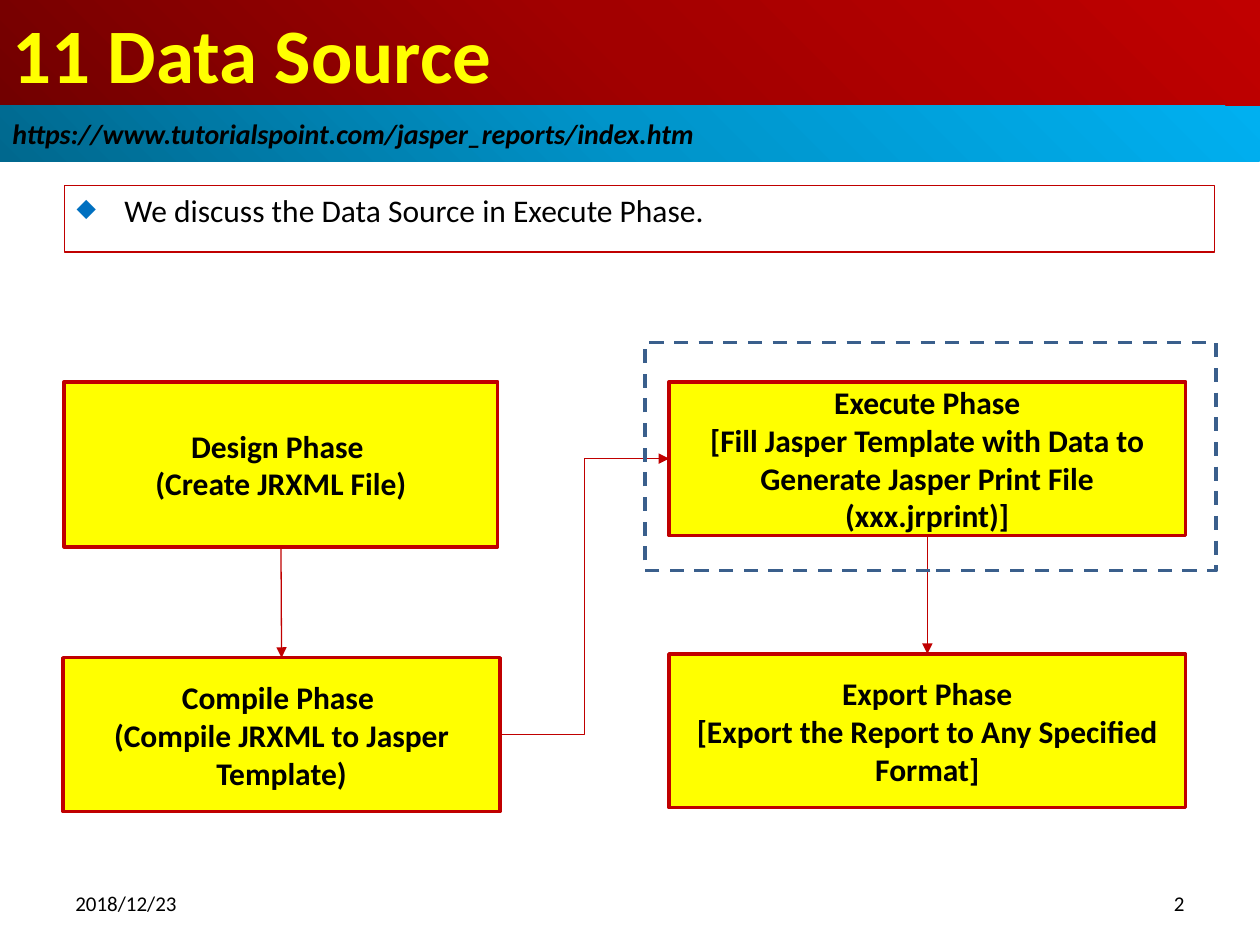
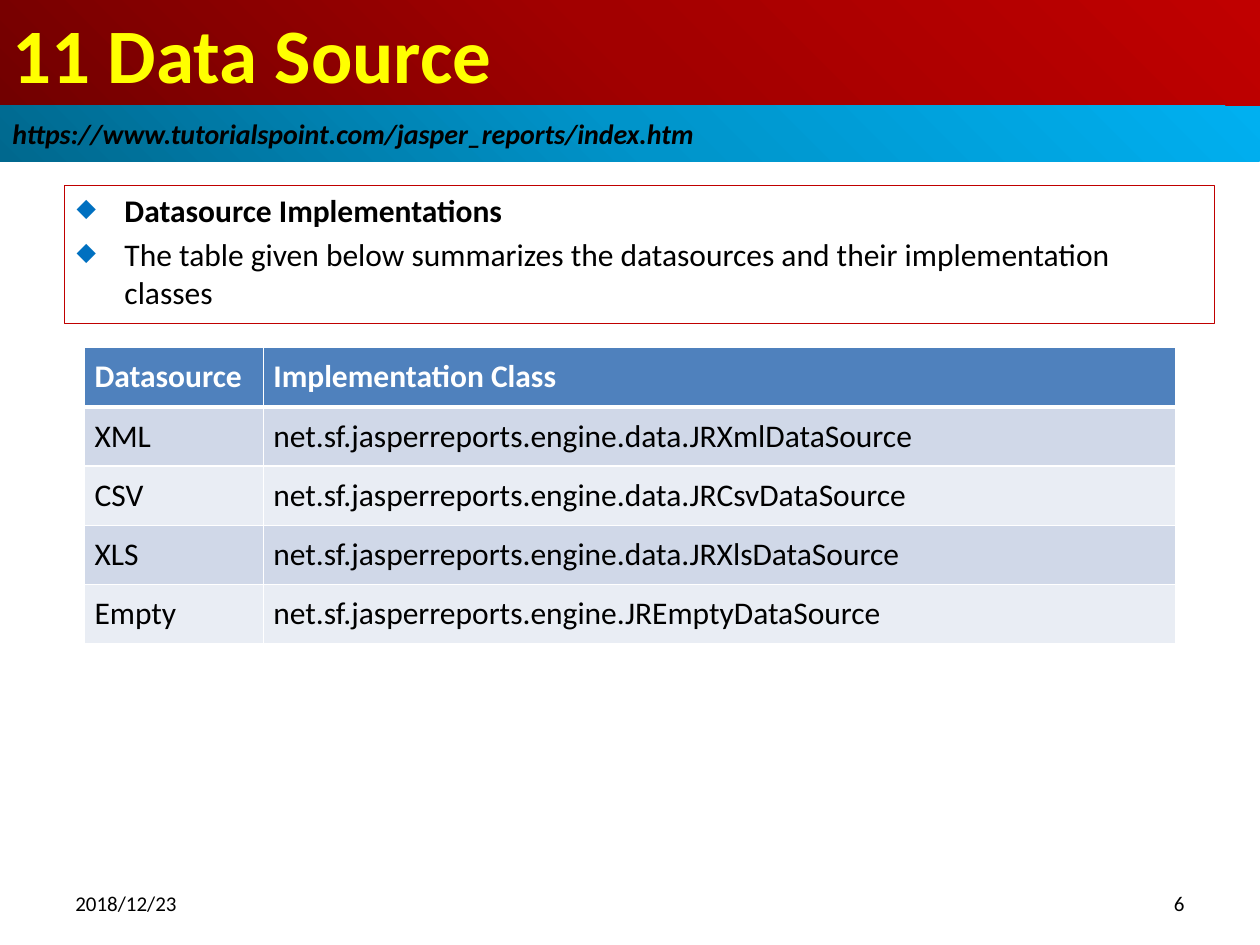
from lxml.etree import SubElement
from pptx import Presentation
from pptx.dml.color import RGBColor
from pptx.enum.dml import MSO_LINE
from pptx.enum.shapes import MSO_CONNECTOR, MSO_SHAPE
from pptx.enum.text import MSO_ANCHOR, PP_ALIGN
from pptx.oxml import parse_xml
from pptx.oxml.ns import nsdecls, qn
from pptx.util import Inches, Pt

FONT = "Calibri"
BLACK = RGBColor(0x00, 0x00, 0x00)
WHITE = RGBColor(0xFF, 0xFF, 0xFF)
YELLOW = RGBColor(0xFF, 0xFF, 0x00)
RED = RGBColor(0xC0, 0x00, 0x00)
BULLET_BLUE = RGBColor(0x00, 0x70, 0xC0)
FRAME_BLUE = RGBColor(0x3A, 0x5F, 0x8C)
HEADER_BLUE = RGBColor(0x4F, 0x81, 0xBD)
ROW_DARK = RGBColor(0xD0, 0xD8, 0xE8)
ROW_LIGHT = RGBColor(0xE9, 0xED, 0xF4)
RED_GRADIENT = (RGBColor(0x72, 0x00, 0x00), RGBColor(0xA2, 0x00, 0x00), RED)
BLUE_GRADIENT = (RGBColor(0x00, 0x68, 0x8E), RGBColor(0x00, 0x94, 0xCA),
                 RGBColor(0x00, 0xB0, 0xF0))

TITLE = "11 Data Source"
ADDRESS = "https://www.tutorialspoint.com/jasper_reports/index.htm"
DATE = "2018/12/23"
SLIDES = [
    # page number, body height, body lines as (text, bold)
    ("2", 0.53, [("We discuss the Data Source in Execute Phase.", False)]),
    ("6", 1.10, [("Datasource Implementations", True),
                 ("The table given below summarizes the datasources and their "
                  "implementation classes", False)]),
]


def add_box(slide, position, lines=(), size=18, color=BLACK, bold=False,
            align=PP_ALIGN.LEFT, fill=None, line=None, line_width=2):
    """Add a rectangle with one paragraph per line, centred vertically."""
    shape = slide.shapes.add_shape(MSO_SHAPE.RECTANGLE, *map(Inches, position))
    shape.shadow.inherit = False
    shape.fill.background()
    if fill:
        shape.fill.solid()
        shape.fill.fore_color.rgb = fill
    shape.line.fill.background()
    if line:
        shape.line.color.rgb = line
        shape.line.width = Pt(line_width)
    frame = shape.text_frame
    frame.word_wrap = True
    frame.vertical_anchor = MSO_ANCHOR.MIDDLE
    frame.text = "\n".join(lines)
    for paragraph in frame.paragraphs:
        paragraph.alignment = align
        paragraph.font.name = FONT
        paragraph.font.size = Pt(size)
        paragraph.font.bold = bold
        paragraph.font.color.rgb = color
    return shape


def set_gradient(shape, colors):
    """Fill the shape with colours spreading from its bottom left corner."""
    stops = "".join(f'<a:gs pos="{place}"><a:srgbClr val="{color}"/></a:gs>'
                    for place, color in zip((0, 50000, 100000), colors))
    gradient = parse_xml(
        f'<a:gradFill {nsdecls("a")} rotWithShape="1"><a:gsLst>{stops}</a:gsLst>'
        '<a:path path="circle"><a:fillToRect t="100000" r="100000"/></a:path>'
        '</a:gradFill>')
    properties = shape.element.spPr
    properties.replace(properties.find(qn("a:noFill")), gradient)


presentation = Presentation()
presentation.slide_width = Inches(10)
presentation.slide_height = Inches(7.5)

# Title, address band, body text and footer of every slide
for number, body_height, body_lines in SLIDES:
    slide = presentation.slides.add_slide(presentation.slide_layouts[6])
    title = add_box(slide, (0, 0, 10, 0.84), [TITLE], 44, YELLOW, bold=True)
    set_gradient(title, RED_GRADIENT)

    body = add_box(slide, (0.51, 1.47, 9.13, body_height),
                   [text for text, bold in body_lines], line=RED, line_width=0.75)
    body.text_frame.vertical_anchor = MSO_ANCHOR.TOP
    for index, paragraph in enumerate(body.text_frame.paragraphs):
        paragraph.font.bold = body_lines[index][1]
        if index:
            paragraph.space_before = Pt(3.6)
        properties = paragraph._p.get_or_add_pPr()
        properties.set("marL", str(Inches(0.38)))
        properties.set("indent", str(-Inches(0.38)))
        bullet = parse_xml(
            f'<a:pPr {nsdecls("a")}><a:buClr><a:srgbClr val="{BULLET_BLUE}"/></a:buClr>'
            '<a:buSzPct val="80000"/><a:buChar char="◆"/></a:pPr>')
        for element in list(bullet):
            properties.find(qn("a:defRPr")).addprevious(element)

    address = add_box(slide, (0, 0.84, 10, 0.44), [ADDRESS], 16, bold=True)
    address.text_frame.paragraphs[0].font.italic = True
    set_gradient(address, BLUE_GRADIENT)

    add_box(slide, (0.5, 6.95, 2.33, 0.44), [DATE], 12)
    add_box(slide, (7.17, 6.95, 2.33, 0.44), [number], 12, align=PP_ALIGN.RIGHT)

phase_slide, table_slide = presentation.slides

# Report phases and the arrows between them
PHASES = [
    ((0.51, 3.03, 3.44, 1.31), ["Design Phase ", "(Create JRXML File)"]),
    ((0.5, 5.22, 3.47, 1.22),
     ["Compile Phase ", "(Compile JRXML to Jasper Template)"]),
    ((5.31, 3.03, 4.1, 1.22),
     ["Execute Phase",
      "[Fill Jasper Template with Data to Generate Jasper Print File (xxx.jrprint)]"]),
    ((5.31, 5.19, 4.1, 1.22),
     ["Export Phase", "[Export the Report to Any Specified Format]"]),
]
design, compiling, execute, export = [
    add_box(phase_slide, position, lines, bold=True, align=PP_ALIGN.CENTER,
            fill=YELLOW, line=RED)
    for position, lines in PHASES]

BOTTOM, RIGHT, TOP, LEFT = 2, 3, 0, 1
for kind, start, start_side, end, end_side in [
        (MSO_CONNECTOR.STRAIGHT, design, BOTTOM, compiling, TOP),
        (MSO_CONNECTOR.ELBOW, compiling, RIGHT, execute, LEFT),
        (MSO_CONNECTOR.STRAIGHT, execute, BOTTOM, export, TOP)]:
    arrow = phase_slide.shapes.add_connector(kind, 0, 0, 0, 0)
    arrow.begin_connect(start, start_side)
    arrow.end_connect(end, end_side)
    arrow.line.color.rgb = RED
    arrow.line.width = Pt(0.75)
    SubElement(arrow.line._get_or_add_ln(), qn("a:tailEnd"), type="triangle")
    SubElement(arrow.element.spPr, qn("a:effectLst"))

execute_frame = add_box(phase_slide, (5.12, 2.72, 4.53, 1.81), line=FRAME_BLUE)
execute_frame.line.dash_style = MSO_LINE.DASH

# Datasources and their classes
ROWS = [
    ("Datasource", "Implementation Class"),
    ("XML", "net.sf.jasperreports.engine.data.JRXmlDataSource"),
    ("CSV", "net.sf.jasperreports.engine.data.JRCsvDataSource"),
    ("XLS", "net.sf.jasperreports.engine.data.JRXlsDataSource"),
    ("Empty", "net.sf.jasperreports.engine.JREmptyDataSource"),
]
ROW_HEIGHT = 0.47
table = table_slide.shapes.add_table(
    len(ROWS), 2, Inches(0.67), Inches(2.76), Inches(8.66),
    Inches(ROW_HEIGHT * len(ROWS))).table
table.columns[0].width = Inches(1.42)
table.columns[1].width = Inches(7.24)
for row_index, row in enumerate(ROWS):
    is_header = row_index == 0
    for column_index, text in enumerate(row):
        cell = table.cell(row_index, column_index)
        cell.margin_left = cell.margin_right = Inches(0.08)
        cell.margin_top = cell.margin_bottom = Inches(0.08)
        for side in "LRTB":
            thick = (is_header and side == "B") or (row_index == 1 and side == "T")
            cell._tc.get_or_add_tcPr().append(parse_xml(
                f'<a:ln{side} {nsdecls("a")} w="{Pt(3 if thick else 1)}"><a:solidFill>'
                f'<a:srgbClr val="{WHITE}"/></a:solidFill></a:ln{side}>'))
        cell.fill.solid()
        cell.fill.fore_color.rgb = (
            HEADER_BLUE if is_header else ROW_DARK if row_index % 2 else ROW_LIGHT)
        cell.text = text
        font = cell.text_frame.paragraphs[0].font
        font.name = FONT
        font.size = Pt(18)
        font.bold = is_header
        font.color.rgb = WHITE if is_header else BLACK

presentation.save("out.pptx")
